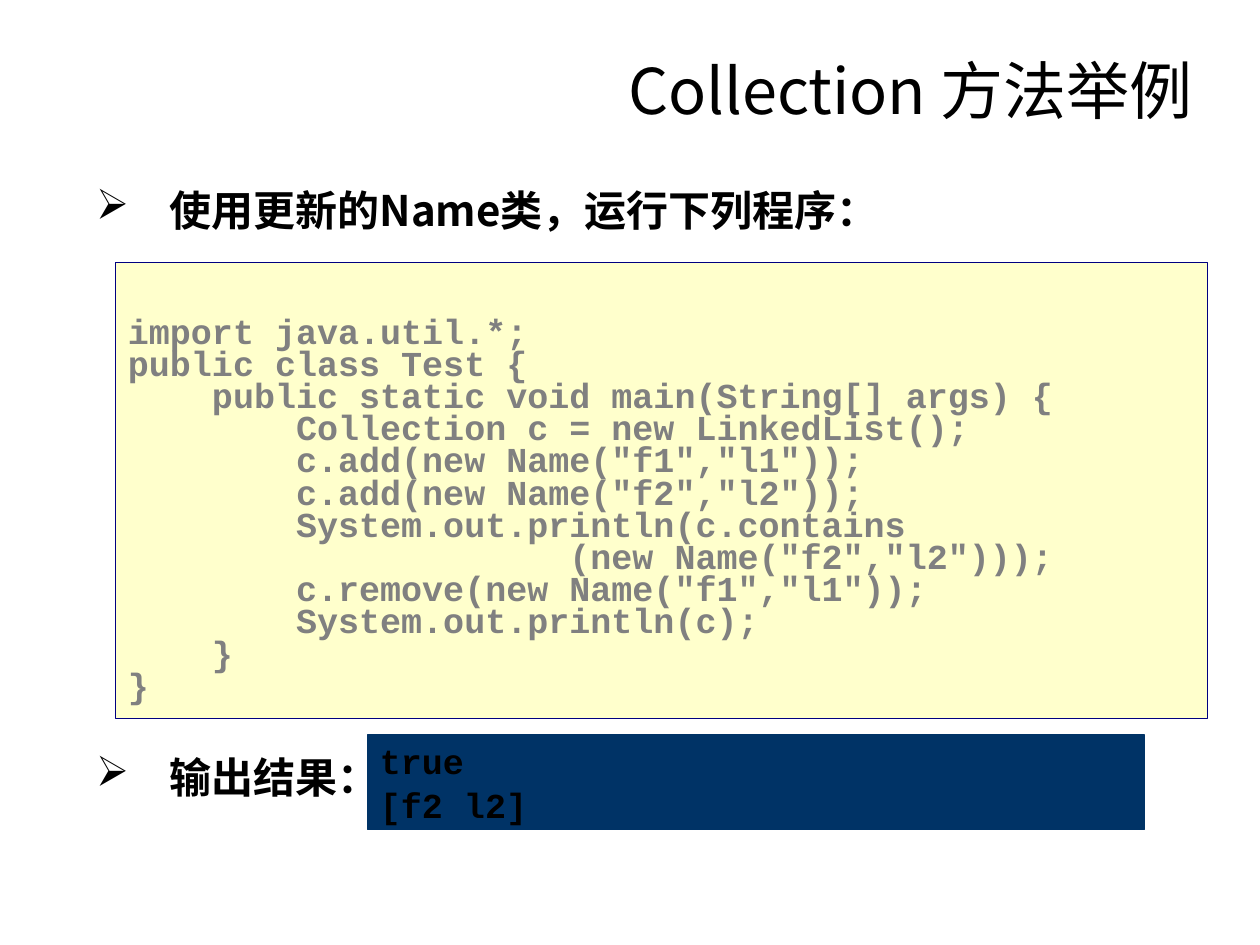
from dataclasses import dataclass

from lxml.etree import SubElement
from pptx import Presentation
from pptx.dml.color import RGBColor
from pptx.enum.shapes import MSO_SHAPE
from pptx.enum.text import MSO_ANCHOR, MSO_AUTO_SIZE, PP_ALIGN
from pptx.oxml.ns import qn
from pptx.util import Cm, Pt


@dataclass(frozen=True)
class Theme:
    ink: str = "000000"
    code_ink: str = "808080"
    code_fill: str = "FFFFCC"
    code_line: str = "000080"
    result_fill: str = "003366"
    sans: str = "Noto Sans CJK SC"
    serif: str = "Times New Roman"
    mono: str = "Courier New"
    title_size: int = 36
    point_size: int = 24
    code_size: int = 20


THEME = Theme()

PROGRAM = """import java.util.*;
public class Test {
    public static void main(String[] args) {
        Collection c = new LinkedList();
        c.add(new Name("f1","l1"));
        c.add(new Name("f2","l2"));
        System.out.println(c.contains
                     (new Name("f2","l2")));
        c.remove(new Name("f1","l1"));
        System.out.println(c);
    }
}"""


def write(frame, text, *, size, font=THEME.sans, color=THEME.ink, bold=False,
          align=PP_ALIGN.LEFT, anchor=MSO_ANCHOR.TOP, wrap=True,
          line_spacing=None, gap=0, bullet=None, indent=0):
    """Fill a text frame, one paragraph for each line of text."""
    frame.auto_size = MSO_AUTO_SIZE.NONE
    frame.word_wrap = wrap
    frame.vertical_anchor = anchor
    for number, line in enumerate(text.split("\n")):
        paragraph = frame.add_paragraph() if number else frame.paragraphs[0]
        paragraph.alignment = align
        if line_spacing:
            paragraph.line_spacing = line_spacing
        if number and gap:
            paragraph.space_before = Pt(gap)
        if bullet:
            properties = paragraph._p.get_or_add_pPr()
            properties.set("marL", str(indent))
            properties.set("indent", str(-indent))
            SubElement(properties, qn("a:buChar")).set("char", bullet)
        run = paragraph.add_run()
        run.text = line
        run.font.size = Pt(size)
        run.font.bold = bold
        run.font.name = font
        run.font.color.rgb = RGBColor.from_string(color)
        SubElement(run._r.get_or_add_rPr(), qn("a:ea")).set("typeface", THEME.sans)


def add_title(slide, text):
    title = slide.shapes.title
    title.left, title.top, title.width, title.height = (
        Cm(2.7), Cm(0.21), Cm(21.59), Cm(3.18))
    write(title.text_frame, text, size=THEME.title_size,
          align=PP_ALIGN.RIGHT, anchor=MSO_ANCHOR.MIDDLE)


def add_point(slide, text, top, width, font=THEME.sans):
    point = slide.shapes.add_textbox(Cm(1.69), top, width, Cm(1.27))
    write(point.text_frame, text, size=THEME.point_size, font=font, bold=True,
          bullet="➢", indent=Cm(1.48))


def add_panel(slide, left, top, width, height, fill, line):
    panel = slide.shapes.add_shape(MSO_SHAPE.RECTANGLE, left, top, width, height)
    panel.shadow.inherit = False
    panel.fill.solid()
    panel.fill.fore_color.rgb = RGBColor.from_string(fill)
    panel.line.color.rgb = RGBColor.from_string(line)
    panel.line.width = Pt(0.75)
    return panel.text_frame


def main():
    presentation = Presentation()
    presentation.slide_width, presentation.slide_height = Cm(25.4), Cm(19.05)
    slide = presentation.slides.add_slide(presentation.slide_layouts[5])

    add_title(slide, "Collection 方法举例")

    # Program listing
    add_point(slide, "使用更新的Name类，运行下列程序：", Cm(3.6), Cm(21.8))
    listing = add_panel(slide, Cm(2.33), Cm(5.29), Cm(22.01), Cm(9.2),
                        THEME.code_fill, THEME.code_line)
    listing.margin_top = Cm(1.14)
    write(listing, PROGRAM, size=THEME.code_size, font=THEME.mono,
          color=THEME.code_ink, bold=True, line_spacing=Pt(18.4))

    # Program output
    add_point(slide, "输出结果：", Cm(15.03), Cm(5.93), font=THEME.serif)
    result = add_panel(slide, Cm(7.41), Cm(14.82), Cm(15.66), Cm(1.9),
                       THEME.result_fill, THEME.result_fill)
    write(result, "true\n[f2 l2]", size=THEME.code_size, font=THEME.mono,
          bold=True, anchor=MSO_ANCHOR.MIDDLE, wrap=False, gap=1.3)

    presentation.save("out.pptx")


if __name__ == "__main__":
    main()
